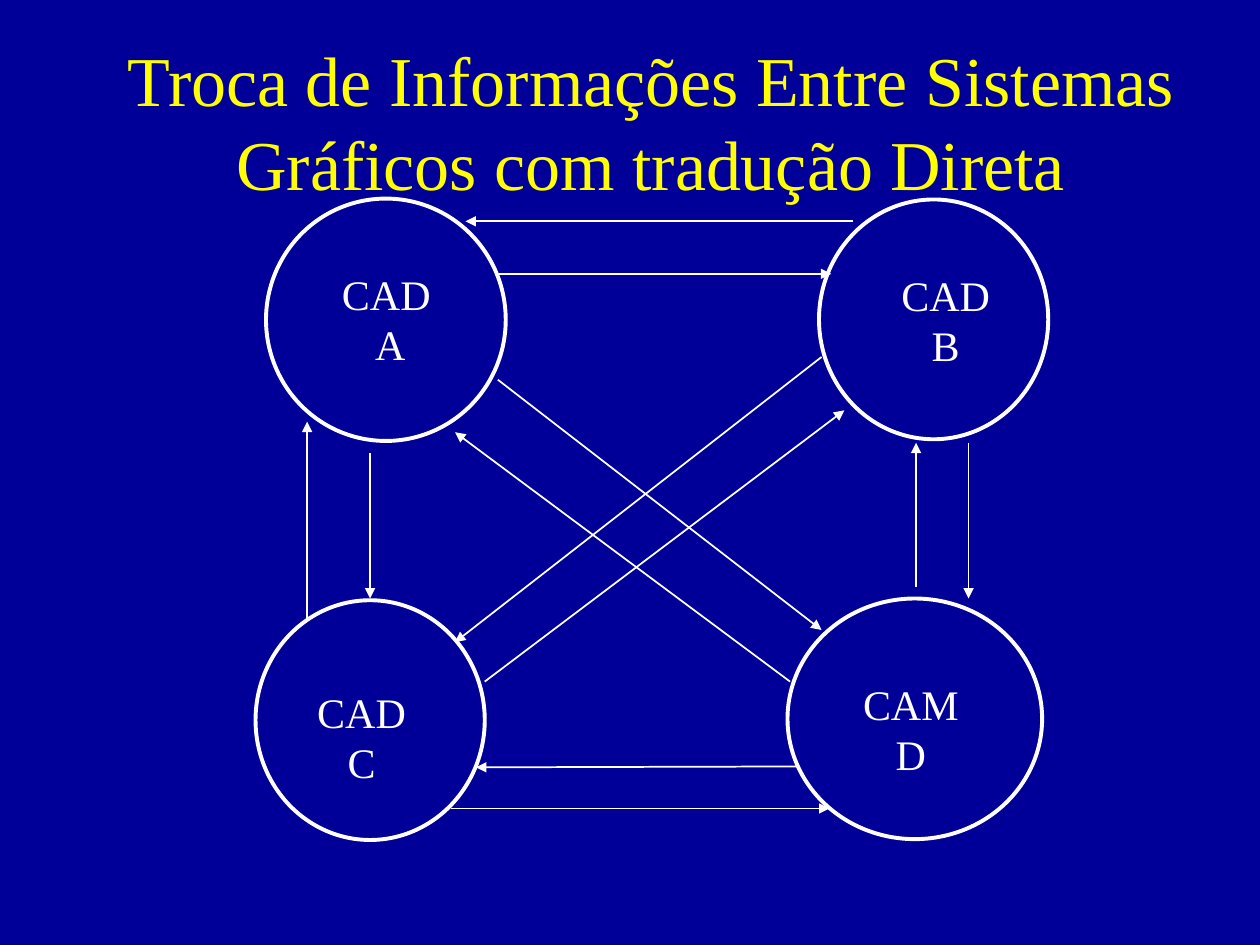
from lxml import etree
from pptx import Presentation
from pptx.dml.color import RGBColor
from pptx.enum.shapes import MSO_CONNECTOR, MSO_SHAPE
from pptx.enum.text import MSO_ANCHOR, PP_ALIGN
from pptx.oxml.ns import qn
from pptx.util import Pt

OVAL = MSO_SHAPE.OVAL
LINE = MSO_CONNECTOR.STRAIGHT
CENTER = PP_ALIGN.CENTER
TOP, MIDDLE = MSO_ANCHOR.TOP, MSO_ANCHOR.MIDDLE
WHITE, YELLOW, BLUE = "FFFFFF", "FFFF00", "000099"


def color(code):
    return RGBColor.from_string(code)


def add_text(text, box, size, code, anchor):
    frame = slide.shapes.add_textbox(*map(Pt, box)).text_frame
    frame.word_wrap = True
    frame.vertical_anchor = anchor
    frame.text = text
    for para in frame.paragraphs:
        para.alignment = CENTER
        para.font.name = "Times New Roman"
        para.font.size = Pt(size)
        para.font.color.rgb = color(code)


deck = Presentation()
deck.slide_width, deck.slide_height = Pt(720), Pt(540)
slide = deck.slides.add_slide(deck.slide_layouts[6])
fill = slide.background.fill
fill.solid()
fill.fore_color.rgb = color(BLUE)

# Each system: label, circle box, label box
systems = [
    ("CAD\n A", (152, 113.5, 137, 138.5), (174, 149.8, 93.6, 64.8)),
    ("CAD\vB", (468, 114, 131, 137), (499, 150.2, 82.8, 64.8)),
    ("CAD\vC", (146, 343, 131, 137), (171.6, 388.8, 70, 64.8)),
    ("CAM\vD", (450, 342, 145.5, 137.5), (484.5, 384, 72, 64.8)),
]
for label, circle, box in systems:
    oval = slide.shapes.add_shape(OVAL, *map(Pt, circle))
    oval.shadow.inherit = False
    oval.fill.background()
    oval.line.color.rgb = color(WHITE)
    oval.line.width = Pt(2.25)
    add_text(label, box, 24, WHITE, TOP)

# Each arrow runs from its start to its head
arrows = [
    (451.5, 389.5, 260, 247),      # D to A
    (284.5, 217, 469.5, 360),      # A to D
    (469.5, 204, 260, 367),        # B to C
    (277, 389.5, 482.5, 234.5),    # C to B
    (487.5, 126.5, 266, 126.5),    # B to A
    (284.5, 156.5, 475, 156.5),    # A to B
    (175.5, 353.5, 175.5, 241),    # C to A
    (211.5, 259, 211.5, 342),      # A to C
    (258, 462, 474, 462),          # C to D
    (455.5, 438, 272, 438.5),      # D to C
    (523.5, 335.5, 523.5, 253),    # D to B
    (553.5, 253, 553.5, 342),      # B to D
]
for ends in arrows:
    arrow = slide.shapes.add_connector(LINE, *map(Pt, ends))
    arrow.line.color.rgb = color(WHITE)
    arrow.line.width = Pt(1)
    props = arrow.line._get_or_add_ln()
    etree.SubElement(props, qn("a:tailEnd"), type="triangle")
    etree.SubElement(arrow._element.spPr, qn("a:effectLst"))

add_text("Troca de Informações Entre Sistemas Gráficos com tradução Direta",
         (54, 24, 636, 90), 40, YELLOW, MIDDLE)

deck.save("out.pptx")
